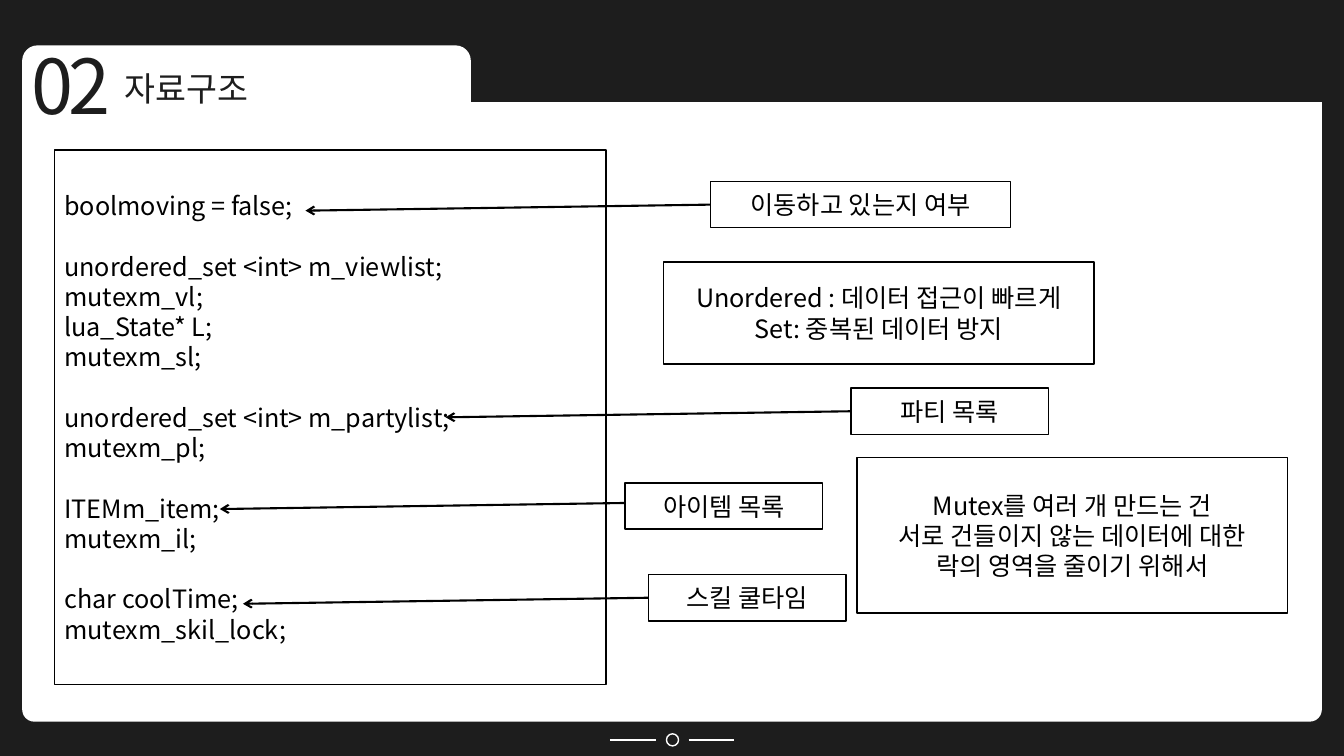
from lxml.etree import SubElement
from pptx import Presentation
from pptx.dml.color import RGBColor
from pptx.enum.shapes import MSO_CONNECTOR, MSO_SHAPE
from pptx.enum.text import MSO_ANCHOR, MSO_AUTO_SIZE, PP_ALIGN
from pptx.oxml.ns import qn
from pptx.util import Inches, Pt

FONT = "Noto Sans CJK KR"
DARK, WHITE, BLACK = "1D1D1D", "FFFFFF", "000000"


def color(hex_text):
    return RGBColor.from_string(hex_text)


def add_text(para, text, size, hex_text):
    """Add one run, with the font set for Latin and Korean letters alike."""
    span = para.add_run()
    span.text = text
    span.font.size = Pt(size)
    span.font.name = FONT
    span.font.color.rgb = color(hex_text)
    properties = span.font._element
    SubElement(properties, qn("a:ea")).set("typeface", FONT)
    return properties


deck = Presentation()
deck.slide_width, deck.slide_height = Inches(13.33), Inches(7.5)
page = deck.slides.add_slide(deck.slide_layouts[6])
page.background.fill.solid()
page.background.fill.fore_color.rgb = color(DARK)

# White sheet with a folder tab
panels = [
    (0.22, 0.5, 12.89, 6.66, 0.018, WHITE),
    (3.75, 0.49, 9.48, 0.52, 0.048, DARK),
    (0.22, 0.45, 4.45, 0.79, 0.192, WHITE),
]
for left, top, width, height, rounding, fill in panels:
    panel = page.shapes.add_shape(
        MSO_SHAPE.ROUNDED_RECTANGLE, Inches(left), Inches(top), Inches(width), Inches(height))
    panel.adjustments[0] = rounding
    panel.shadow.inherit = False
    panel.fill.solid()
    panel.fill.fore_color.rgb = color(fill)
    panel.line.fill.background()

# Footer ornament
ring = page.shapes.add_shape(
    MSO_SHAPE.OVAL, Inches(6.61), Inches(7.28), Inches(0.12), Inches(0.12))
ring.shadow.inherit = False
ring.fill.background()
ring.line.color.rgb = color(WHITE)
ring.line.width = Pt(1)

# Heading
headings = [
    (1.14, 0.62, 1.55, 0.5, "자료구조", 24, 0),
    (0.21, 0.34, 0.99, 1.01, "02", 54, -3),
]
for left, top, width, height, text, size, spacing in headings:
    box = page.shapes.add_textbox(Inches(left), Inches(top), Inches(width), Inches(height))
    box.text_frame.word_wrap = False
    box.text_frame.auto_size = MSO_AUTO_SIZE.SHAPE_TO_FIT_TEXT
    properties = add_text(box.text_frame.paragraphs[0], text, size, DARK)
    if spacing:
        properties.set("spc", str(spacing * 100))

# Code box and notes: each group of lines is set off by one line of space
code_groups = [
    ["boolmoving = false;"],
    ["unordered_set <int> m_viewlist;", "mutexm_vl;", "lua_State* L;", "mutexm_sl;"],
    ["unordered_set <int> m_partylist;", "mutexm_pl;"],
    ["ITEMm_item;", "mutexm_il;"],
    ["char coolTime;", "mutexm_skil_lock;"],
]
set_note = ["Unordered : 데이터 접근이 빠르게", "Set: 중복된 데이터 방지"]
mutex_note = ["Mutex를 여러 개 만드는 건", "서로 건들이지 않는 데이터에 대한", "락의 영역을 줄이기 위해서"]
left_align, center = PP_ALIGN.LEFT, PP_ALIGN.CENTER
boxes = [
    (0.54, 1.49, 5.47, 5.3, left_align, code_groups),
    (7.05, 1.8, 2.97, 0.46, center, [["이동하고 있는지 여부"]]),
    (8.44, 3.85, 1.96, 0.46, center, [["파티 목록"]]),
    (6.58, 2.6, 4.27, 1.01, center, [set_note]),
    (6.2, 4.79, 1.96, 0.46, center, [["아이템 목록"]]),
    (6.43, 5.7, 1.96, 0.46, center, [["스킬 쿨타임"]]),
    (8.5, 4.54, 4.27, 1.54, center, [mutex_note]),
]
for left, top, width, height, alignment, groups in boxes:
    box = page.shapes.add_shape(
        MSO_SHAPE.RECTANGLE, Inches(left), Inches(top), Inches(width), Inches(height))
    box.shadow.inherit = False
    box.fill.solid()
    box.fill.fore_color.rgb = color(WHITE)
    box.line.color.rgb = color(BLACK)
    box.line.width = Pt(1)
    frame = box.text_frame
    frame.word_wrap = True
    frame.vertical_anchor = MSO_ANCHOR.MIDDLE
    para = None
    for group in groups:
        for index, text in enumerate(group):
            starts_group = para is not None and index == 0
            para = frame.paragraphs[0] if para is None else frame.add_paragraph()
            para.alignment = alignment
            if starts_group:
                para.space_before = Pt(21.6)
            add_text(para, text, 18, BLACK)

# Footer dashes, then arrows from the labels to the code
lines = [(6.83, 7.34, 7.28, 7.34, WHITE, 1), (6.05, 7.34, 6.51, 7.34, WHITE, 1)]
for left, top in [(7.05, 2.03), (8.44, 4.08), (6.2, 4.99), (6.43, 5.93)]:
    lines.append((left, top, left - 4.02, top + 0.06, BLACK, 1.5))
for x1, y1, x2, y2, hex_text, weight in lines:
    line = page.shapes.add_connector(
        MSO_CONNECTOR.STRAIGHT, Inches(x1), Inches(y1), Inches(x2), Inches(y2))
    line.line.color.rgb = color(hex_text)
    line.line.width = Pt(weight)
    if hex_text == BLACK:
        SubElement(line.line._get_or_add_ln(), qn("a:tailEnd")).set("type", "arrow")
    SubElement(line._element.spPr, qn("a:effectLst"))

deck.save("out.pptx")
